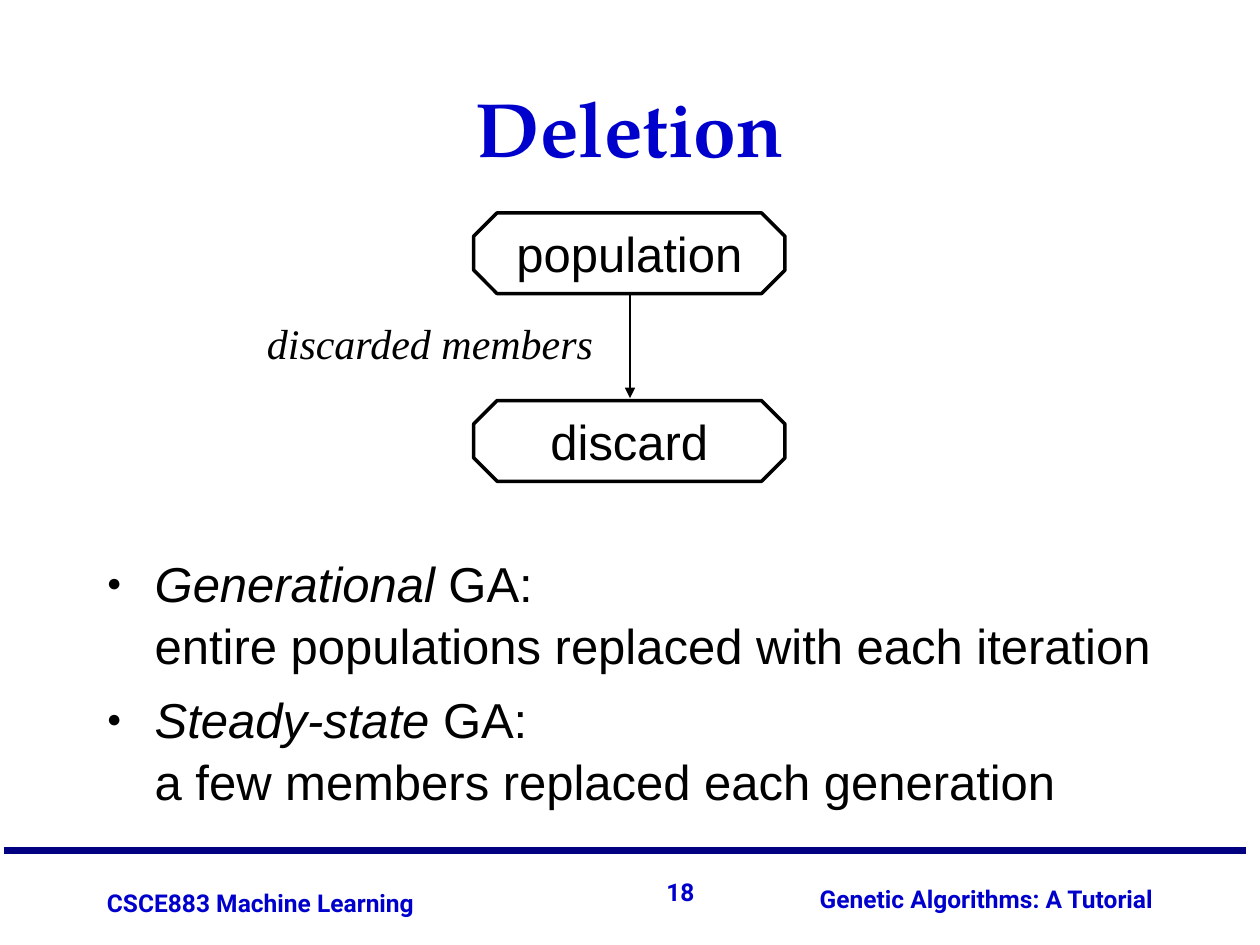
from pptx import Presentation
from pptx.dml.color import RGBColor
from pptx.enum.shapes import MSO_CONNECTOR as Link, MSO_SHAPE as Shape
from pptx.enum.text import MSO_ANCHOR as Anchor, PP_ALIGN as Align
from pptx.oxml.ns import qn
from pptx.util import Inches, Pt
from lxml.etree import SubElement

THEME = {
    "blue": RGBColor.from_string("0000CC"),
    "navy": RGBColor.from_string("000080"),
    "black": RGBColor.from_string("000000"),
    "white": RGBColor.from_string("FFFFFF"),
}
FORMATS = {
    "title": {"name": "TeX Gyre Pagella", "size": Pt(44), "bold": True, "color": "blue"},
    "body": {"name": "Arial", "size": Pt(28), "color": "black"},
    "term": {"name": "Arial", "size": Pt(28), "italic": True, "color": "black"},
    "label": {"name": "Times New Roman", "size": Pt(24), "italic": True, "color": "black"},
    "footer": {"name": "Roboto", "size": Pt(14), "bold": True, "color": "blue"},
}
CAPTIONS = [
    ("18", "footer", (4.41, 6.9, 1.2, 0.36), Align.RIGHT, Anchor.MIDDLE),
    ("CSCE883 Machine Learning", "footer", (0.75, 7, 3.75, 0.33), Align.LEFT, Anchor.MIDDLE),
    ("Genetic Algorithms: A Tutorial", "footer", (5.92, 6.97, 3.33, 0.33), Align.RIGHT, Anchor.MIDDLE),
    ("Deletion", "title", (0.75, 0.25, 8.5, 1.17), Align.CENTER, Anchor.BOTTOM),
    ("discarded members", "label", (2.02, 2.47, 2.8, 0.5), Align.LEFT, Anchor.TOP),
]
STAGES = ["population", "discard"]
STAGE_LEFT, STAGE_TOP, STAGE_WIDTH, STAGE_HEIGHT, STAGE_PITCH = 3.76, 1.69, 2.47, 0.64, 1.49
STRATEGIES = [
    ("Generational", " GA:", "entire populations replaced with each iteration"),
    ("Steady-state", " GA:", "a few members replaced each generation"),
]
STRATEGY_BOX = (0.75, 1.75, 8.5, 4.83)


def add_run(paragraph, text, style):
    run = paragraph.add_run()
    run.text = text
    for key, value in FORMATS[style].items():
        if key == "color":
            run.font.color.rgb = THEME[value]
        else:
            setattr(run.font, key, value)


def add_caption(slide, text, style, box, align, anchor):
    frame = slide.shapes.add_textbox(*map(Inches, box)).text_frame
    frame.word_wrap = style != "label"
    frame.vertical_anchor = anchor
    frame.paragraphs[0].alignment = align
    add_run(frame.paragraphs[0], text, style)


def add_stage(slide, text, top):
    stage = slide.shapes.add_shape(
        Shape.OCTAGON, *map(Inches, (STAGE_LEFT, top, STAGE_WIDTH, STAGE_HEIGHT)))
    stage.shadow.inherit = False
    stage.adjustments[0] = 0.29
    stage.fill.solid()
    stage.fill.fore_color.rgb = THEME["white"]
    stage.line.color.rgb = THEME["black"]
    stage.line.width = Pt(2)
    frame = stage.text_frame
    frame.word_wrap = False
    frame.vertical_anchor = Anchor.MIDDLE
    frame.paragraphs[0].alignment = Align.CENTER
    add_run(frame.paragraphs[0], text, "body")


def add_line(slide, start, end, color, width, arrow=False):
    line = slide.shapes.add_connector(Link.STRAIGHT, *map(Inches, start + end))
    line.line.color.rgb = THEME[color]
    line.line.width = Pt(width)
    if arrow:
        SubElement(line.line._get_or_add_ln(), qn("a:tailEnd"), type="triangle")
    SubElement(line._element.spPr, qn("a:effectLst"))


def add_bullet(paragraph):
    props = paragraph._p.get_or_add_pPr()
    props.set("marL", str(Inches(0.38)))
    props.set("indent", str(-Inches(0.38)))
    SubElement(SubElement(props, qn("a:buClr")), qn("a:srgbClr"), val=str(THEME["black"]))
    SubElement(props, qn("a:buSzPct"), val="50000")
    SubElement(props, qn("a:buFont"), typeface="Arial")
    SubElement(props, qn("a:buChar"), char="●")


def add_strategies(slide):
    frame = slide.shapes.add_textbox(*map(Inches, STRATEGY_BOX)).text_frame
    frame.word_wrap = True
    frame.margin_top = Inches(2.62)
    for index, (term, suffix, detail) in enumerate(STRATEGIES):
        paragraph = frame.add_paragraph() if index else frame.paragraphs[0]
        paragraph.line_spacing = 1.05
        paragraph.space_before = Pt(7 if index else 0)
        add_bullet(paragraph)
        add_run(paragraph, term, "term")
        add_run(paragraph, suffix, "body")
        paragraph.add_line_break()
        add_run(paragraph, detail, "body")


def main():
    """Build the slide on deletion in genetic algorithms."""
    deck = Presentation()
    deck.slide_width, deck.slide_height = Inches(10), Inches(7.5)
    slide = deck.slides.add_slide(deck.slide_layouts[6])
    add_line(slide, (0.03, 6.75), (9.89, 6.75), "navy", 4.5)
    add_strategies(slide)
    for index, stage in enumerate(STAGES):
        add_stage(slide, stage, STAGE_TOP + index * STAGE_PITCH)
    add_line(slide, (5, STAGE_TOP + STAGE_HEIGHT), (5, STAGE_TOP + STAGE_PITCH - 0.02),
             "black", 1, arrow=True)
    for caption in CAPTIONS:
        add_caption(slide, *caption)
    deck.save("out.pptx")


if __name__ == "__main__":
    main()
